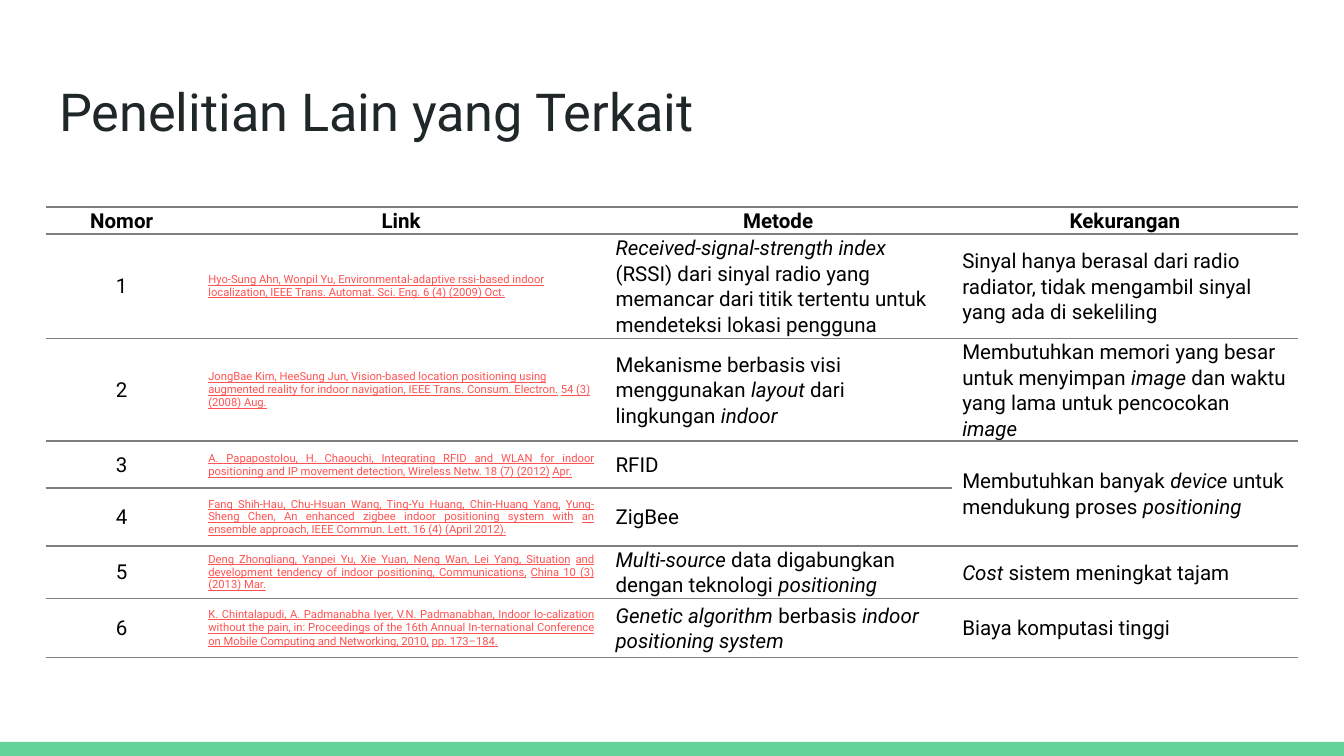
import pptx
import pptx.util
import pptx.dml.color
import pptx.enum.shapes
import pptx.enum.text
import lxml.etree
from pptx.util import Inches

FONT = "Roboto"
ALIGN = pptx.enum.text.PP_ALIGN
MIDDLE = pptx.enum.text.MSO_ANCHOR.MIDDLE
NO_GRID_STYLE = "{2D5ABB26-0587-4C30-8999-92F81FD0307C}"
DRAWING = "http://schemas.openxmlformats.org/drawingml/2006/main"


def color(value):
    return pptx.dml.color.RGBColor.from_string(value)


def add_rule(cell, side, value=None):
    """Add a 1 pt cell border, or an invisible one when no colour is given."""
    fill = f'<a:solidFill><a:srgbClr val="{value}"/></a:solidFill>' if value else "<a:noFill/>"
    line = lxml.etree.fromstring(f'<a:{side} xmlns:a="{DRAWING}" w="12700">{fill}</a:{side}>')
    cell._tc.get_or_add_tcPr().append(line)


deck = pptx.Presentation()
deck.slide_width = Inches(10)
deck.slide_height = Inches(10) * 9 // 16
page = deck.slides.add_slide(deck.slide_layouts[5])

title = page.shapes.title
title.left, title.top, title.width, title.height = map(Inches, (0.34, 0.49, 9.32, 0.63))
frame = title.text_frame
frame.text = "Penelitian Lain yang Terkait"
frame.word_wrap = True
frame.auto_size = pptx.enum.text.MSO_AUTO_SIZE.NONE
frame.vertical_anchor = pptx.enum.text.MSO_ANCHOR.TOP
frame.margin_left = frame.margin_right = frame.margin_top = frame.margin_bottom = Inches(0.1)
para = frame.paragraphs[0]
para.alignment = ALIGN.LEFT
para.font.name = FONT
para.font.size = pptx.util.Pt(28)
para.font.color.rgb = color("202729")

bar_top = Inches(5.52)
footer_bar = page.shapes.add_shape(
    pptx.enum.shapes.MSO_SHAPE.RECTANGLE, 0, bar_top, deck.slide_width, deck.slide_height - bar_top)
footer_bar.shadow.inherit = False
footer_bar.fill.solid()
footer_bar.fill.fore_color.rgb = color("63D297")
footer_bar.line.fill.background()

# Asterisks enclose italics (methods, drawbacks) or underlined text (links).
headers = ["Nomor", "Link", "Metode", "Kekurangan"]
studies = [
    ["1",
     "*Hyo-Sung Ahn, Wonpil Yu, Environmental-adaptive rssi-based indoor* "
     "*localization, IEEE Trans. Automat. Sci. Eng. 6 (4) (2009) Oct.*",
     "*Received-signal-strength index* (RSSI) dari sinyal radio yang memancar "
     "dari titik tertentu untuk mendeteksi lokasi pengguna",
     "Sinyal hanya berasal dari radio radiator, tidak mengambil sinyal yang ada di sekeliling"],
    ["2",
     "*JongBae Kim, HeeSung Jun, Vision-based location positioning using* "
     "*augmented reality for indoor navigation, IEEE Trans. Consum. Electron.* "
     "*54 (3) (2008) Aug.*",
     "Mekanisme berbasis visi menggunakan *layout *dari lingkungan *indoor*",
     "Membutuhkan memori yang besar untuk menyimpan *image *dan waktu yang lama "
     "untuk pencocokan *image*"],
    ["3",
     "*A. Papapostolou, H. Chaouchi, Integrating RFID and WLAN for indoor* "
     "*positioning and IP movement detection, Wireless Netw. 18 (7) (2012)* *Apr.*",
     "RFID",
     "Membutuhkan banyak *device *untuk mendukung proses *positioning*"],
    ["4",
     "*Fang Shih-Hau, Chu-Hsuan Wang, Ting-Yu Huang, Chin-Huang Yang,* "
     "*Yung-Sheng Chen, An enhanced zigbee indoor positioning system with* "
     "*an ensemble approach, IEEE Commun. Lett. 16 (4) (April 2012).*",
     "ZigBee",
     ""],
    ["5",
     "*Deng Zhongliang, Yanpei Yu, Xie Yuan, Neng Wan, Lei Yang, Situation* "
     "*and development tendency of indoor positioning, Communications,* "
     "*China 10 (3) (2013) Mar.*",
     "*Multi-source *data digabungkan dengan teknologi *positioning*",
     "*Cost *sistem meningkat tajam"],
    ["6",
     "*K. Chintalapudi, A. Padmanabha Iyer, V.N. Padmanabhan, Indoor lo-calization "
     "without the pain, in: Proceedings of the 16th Annual In-ternational Conference "
     "on Mobile Computing and Networking, 2010,* *pp. 173–184.*",
     "*Genetic algorithm *berbasis *indoor positioning system*",
     "Biaya komputasi tinggi"],
]
column_widths = [1.13, 3.03, 2.58, 2.58]
row_heights = [0.2, 0.78, 0.59, 0.35, 0.43, 0.39, 0.44]
number_spacing = [1.07, 0.95, 0.99, 1.07, 0.99, 0.99, 1.07]
link_spacing = [1.07, 0.95, 0.99, 1.07, 0.99, 0.99, 1.02]

table_shape = page.shapes.add_table(
    len(row_heights), len(column_widths), Inches(0.34), Inches(1.54), Inches(9.32), Inches(3.18))
table = table_shape.table
table.first_row = table.horz_banding = False
table._tbl.tblPr.find(f"{{{DRAWING}}}tableStyleId").text = NO_GRID_STYLE
for column, width in zip(table.columns, column_widths):
    column.width = Inches(width)
for row, height in zip(table.rows, row_heights):
    row.height = Inches(height)
table.cell(3, 3).merge(table.cell(4, 3))

for r, texts in enumerate([headers] + studies):
    for c, text in enumerate(texts):
        cell = table.cell(r, c)
        is_link = r > 0 and c == 1
        cell.vertical_anchor = MIDDLE
        cell.margin_left = cell.margin_right = Inches(0.08)
        cell.margin_top = cell.margin_bottom = 0
        add_rule(cell, "lnL")
        add_rule(cell, "lnR")
        if not cell.is_spanned:
            add_rule(cell, "lnT", "7F7F7F")
        add_rule(cell, "lnB", "7F7F7F")
        cell.fill.background()

        para = cell.text_frame.paragraphs[0]
        para.line_spacing = {0: number_spacing[r], 1: link_spacing[r]}.get(c, 1.07)
        if r == 0 or c == 0:
            para.alignment = ALIGN.CENTER
        elif is_link and r >= 3:
            para.alignment = ALIGN.JUSTIFY
        else:
            para.alignment = ALIGN.LEFT
        para.font.name = FONT
        para.font.size = pptx.util.Pt(6 if is_link else 11)
        para.font.bold = r == 0
        para.font.color.rgb = color("FF5252" if is_link else "000000")
        for i, part in enumerate(text.split("*")):
            if part:
                span = para.add_run()
                span.text = part
                if i % 2 and is_link:
                    span.font.underline = True
                elif i % 2:
                    span.font.italic = True

deck.save("out.pptx")
